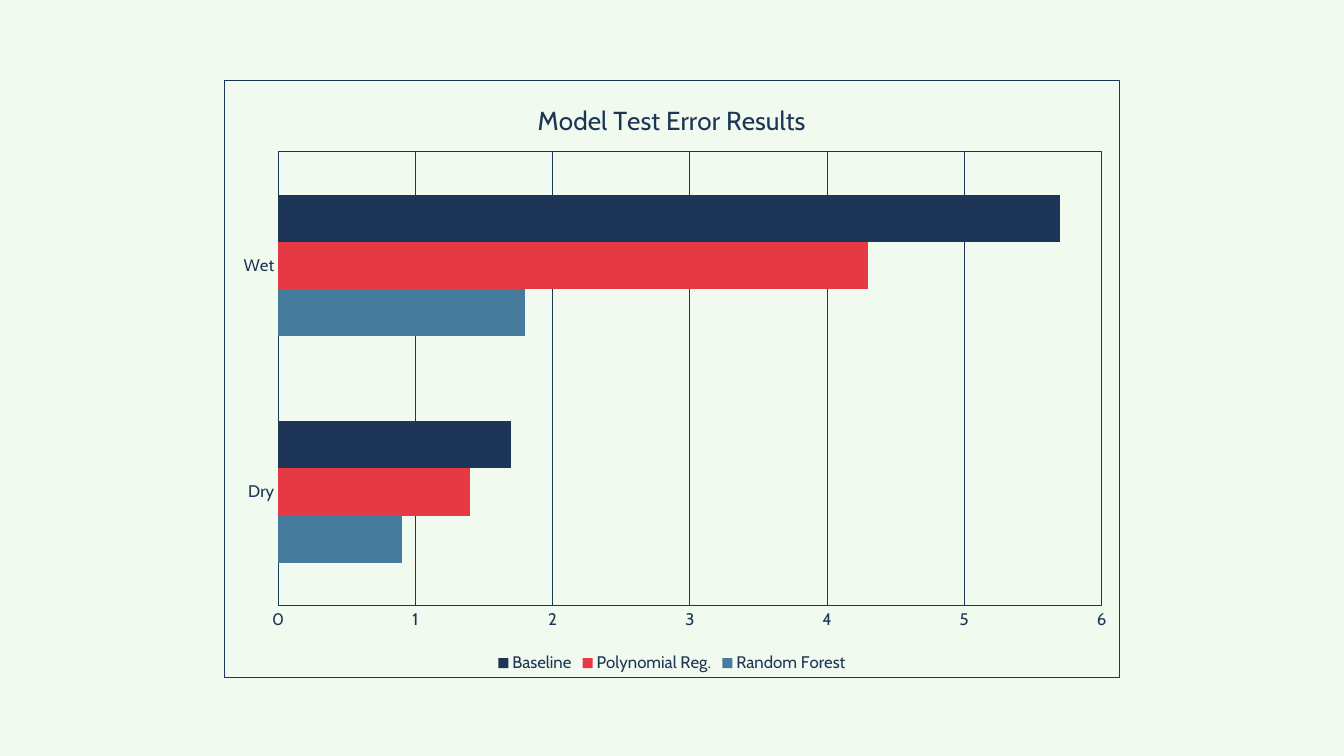
from dataclasses import dataclass

from lxml.etree import SubElement
from pptx import Presentation
from pptx.chart.data import CategoryChartData
from pptx.dml.color import RGBColor
from pptx.enum.chart import XL_CHART_TYPE, XL_LEGEND_POSITION, XL_TICK_MARK
from pptx.oxml import parse_xml
from pptx.oxml.ns import nsdecls, qn
from pptx.util import Pt

# Content
TITLE = "Model Test Error Results"
GROUPS = ["Dry", "Wet"]
SERIES = [
    ("Random Forest", [0.9, 1.8], "457B9D"),
    ("Polynomial Reg.", [1.4, 4.3], "E63946"),
    ("Baseline", [1.7, 5.7], "1D3557"),
]
BOX = (160, 57, 640, 427)
PLOT = {"x": 0.06, "y": 0.12, "w": 0.92, "h": 0.76}  # shares of the chart


@dataclass
class Theme:
    back: str = "F1FAEE"
    ink: str = "1D3557"
    face: str = "Cabin"
    head: float = 18.6
    label: float = 12
    rule: float = 0.75


theme = Theme()


def style(font, size):
    font.name, font.size, font.bold = theme.face, Pt(size), False
    font.color.rgb = RGBColor.from_string(theme.ink)


def rule(line):
    line.color.rgb = RGBColor.from_string(theme.ink)
    line.width = Pt(theme.rule)


def frame():
    """Outline without fill for the chart and its plot area."""
    return parse_xml(
        f'<c:spPr {nsdecls("c", "a")}><a:noFill/>'
        f'<a:ln w="{Pt(theme.rule)}"><a:solidFill><a:srgbClr val="{theme.ink}"/>'
        "</a:solidFill></a:ln></c:spPr>"
    )


def place(plot):
    """Fix the inner plot area inside the chart."""
    for old in plot.findall(qn("c:layout")):
        plot.remove(old)
    layout = parse_xml(f'<c:layout {nsdecls("c")}><c:manualLayout/></c:layout>')
    marks = [("layoutTarget", "inner"), ("xMode", "edge"), ("yMode", "edge")]
    for tag, val in marks + list(PLOT.items()):
        SubElement(layout[0], qn(f"c:{tag}")).set("val", str(val))
    plot.insert(0, layout)


# Slide
deck = Presentation()
deck.slide_width, deck.slide_height = Pt(960), Pt(540)
slide = deck.slides.add_slide(deck.slide_layouts[6])
fill = slide.background.fill
fill.solid()
fill.fore_color.rgb = RGBColor.from_string(theme.back)

# Chart
data = CategoryChartData()
data.categories = GROUPS
for name, vals, _ in SERIES:
    data.add_series(name, vals)
chart = slide.shapes.add_chart(
    XL_CHART_TYPE.BAR_CLUSTERED, *map(Pt, BOX), data
).chart
style(chart.font, theme.label)

# Bars
bars = chart.plots[0]
bars.gap_width, bars.overlap, bars.vary_by_categories = 182, 0, False
for item, (_, _, color) in zip(bars.series, SERIES):
    item.format.fill.solid()
    item.format.fill.fore_color.rgb = RGBColor.from_string(color)

# Title and legend
chart.has_title = True
chart.chart_title.include_in_layout = False
text = chart.chart_title.text_frame
text.text = TITLE
style(text.paragraphs[0].runs[0].font, theme.head)
chart.has_legend = True
chart.legend.position = XL_LEGEND_POSITION.BOTTOM
chart.legend.include_in_layout = False
style(chart.legend.font, theme.label)

# Axes
for axis in (chart.category_axis, chart.value_axis):
    axis.major_tick_mark = axis.minor_tick_mark = XL_TICK_MARK.NONE
    style(axis.tick_labels.font, theme.label)
rule(chart.category_axis.format.line)
scale = chart.value_axis
scale.minimum_scale, scale.maximum_scale, scale.major_unit = 0, 6, 1
scale.tick_labels.number_format = "0"
scale.tick_labels.number_format_is_linked = False
scale.format.line.fill.background()
scale.has_major_gridlines = True
rule(scale.major_gridlines.format.line)

# Frames
root = chart.element
body = root.find(qn("c:chart"))
body.addnext(frame())
plot = body.find(qn("c:plotArea"))
place(plot)
plot.append(frame())

deck.save("out.pptx")
